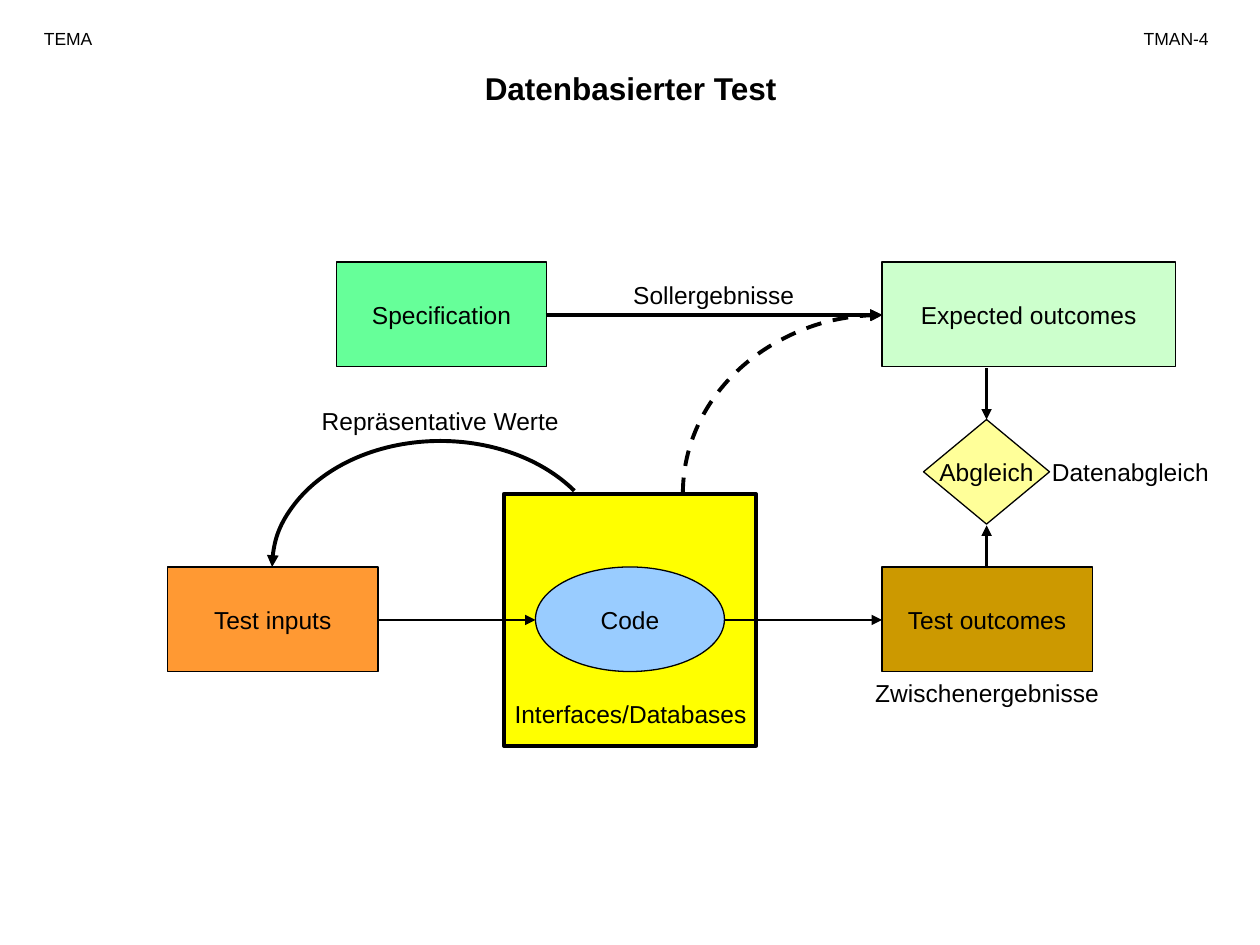
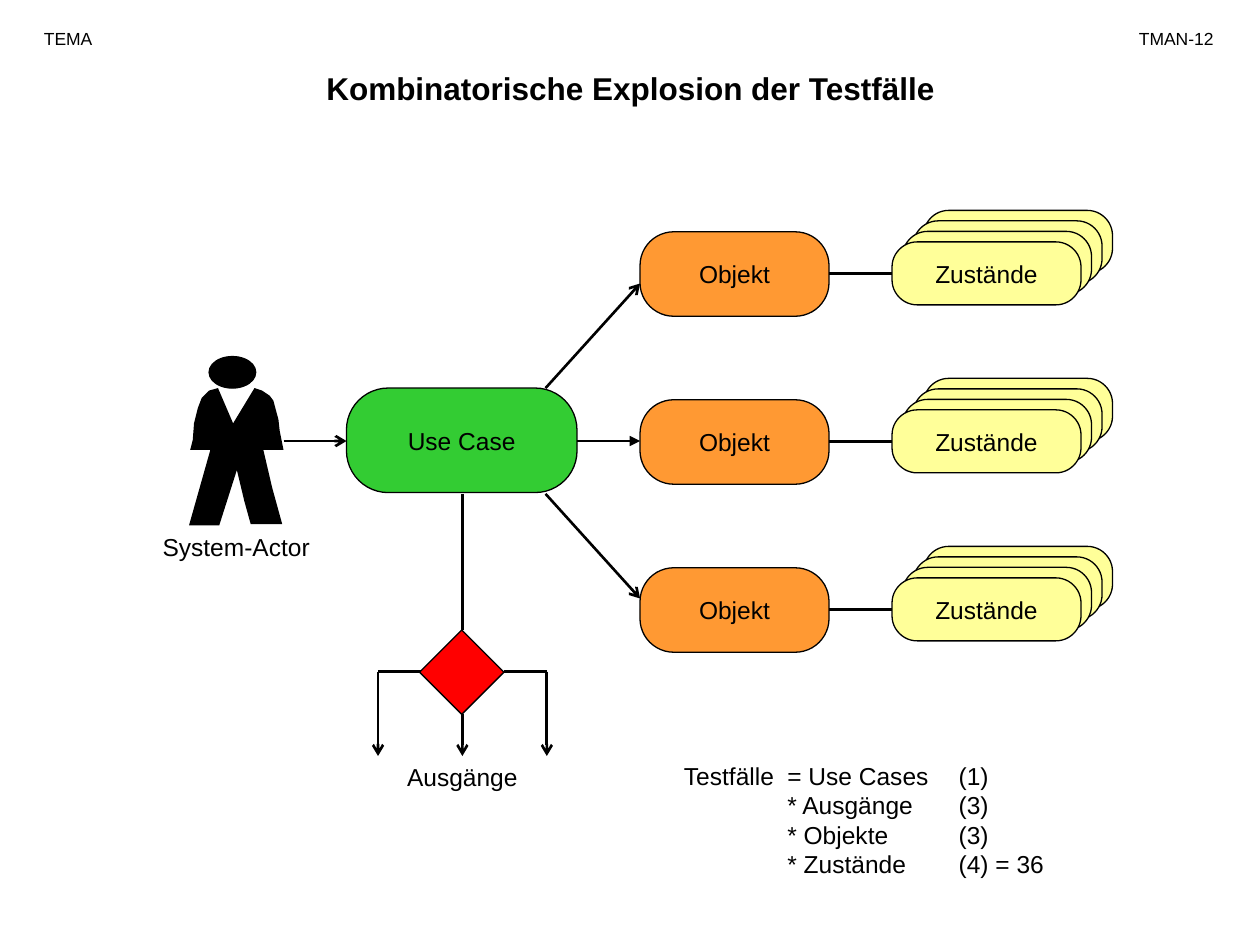
"""Build two slides on test data flow and the combinatorics of test cases."""
from pptx import Presentation
from pptx.dml.color import RGBColor
from pptx.enum.dml import MSO_LINE
from pptx.enum.shapes import MSO_CONNECTOR, MSO_SHAPE
from pptx.enum.text import MSO_ANCHOR, MSO_AUTO_SIZE, PP_ALIGN
from pptx.oxml.ns import qn
from pptx.util import Inches, Pt

RECT, ROUNDED = MSO_SHAPE.RECTANGLE, MSO_SHAPE.ROUNDED_RECTANGLE
ELLIPSE, DIAMOND, ARC = MSO_SHAPE.OVAL, MSO_SHAPE.DIAMOND, MSO_SHAPE.ARC
STRAIGHT, DASH = MSO_CONNECTOR.STRAIGHT, MSO_LINE.DASH
LEFT, CENTER = PP_ALIGN.LEFT, PP_ALIGN.CENTER
TOP, MIDDLE, NO_FIT = MSO_ANCHOR.TOP, MSO_ANCHOR.MIDDLE, MSO_AUTO_SIZE.NONE

COLORS = {
    "ink": "000000", "interface": "FFFF00", "code": "99CCFF",
    "input": "FF9933", "outcome": "CC9900", "specification": "66FF99",
    "expected": "CCFFCC", "pale": "FFFF99", "use_case": "33CC33",
    "decision": "FF0000",
}
FRAME = {
    "margin_left": Inches(0.1), "margin_right": Inches(0.1),
    "margin_top": Inches(0.05), "margin_bottom": Inches(0.05),
    "auto_size": NO_FIT,
}
BODY_FONT = {"name": "Arial", "size": Pt(14), "bold": False}
HEADER_FONT = {**BODY_FONT, "size": Pt(10)}
TITLE_FONT = {**BODY_FONT, "size": Pt(18), "bold": True}
HEADER_TOP, HEADER_HEIGHT = 0.17, 0.27
LABEL_HEIGHT = 0.34
ROUNDING = 0.4

ACTOR_BODY = [
    (2.25, 3.57), (2.22, 3.42), (2.21, 3.33), (2.17, 3.18), (2.14, 3.14),
    (2.08, 3.1), (2.02, 3.08), (1.85, 3.36), (1.73, 3.08), (1.66, 3.1),
    (1.6, 3.16), (1.57, 3.24), (1.54, 3.36), (1.53, 3.49), (1.51, 3.57),
    (1.67, 3.57), (1.5, 4.17), (1.74, 4.17), (1.88, 3.73), (1.94, 3.98),
    (1.99, 4.16), (2.24, 4.16), (2.16, 3.87), (2.09, 3.57),
]


def rgb(color):
    """Return a named colour."""
    return RGBColor.from_string(COLORS[color])


def apply(target, values):
    """Set every given format value on the target."""
    for attribute, value in values.items():
        setattr(target, attribute, value)


def place(shape, box):
    """Move and size a shape."""
    apply(shape, dict(zip(("left", "top", "width", "height"), map(Inches, box))))


def write(shape, text, font=BODY_FONT, align=CENTER, anchor=MIDDLE, wrap=False, tabs=()):
    """Fill a shape with formatted paragraphs."""
    frame = shape.text_frame
    apply(frame, {**FRAME, "vertical_anchor": anchor, "word_wrap": wrap})
    frame.text = text
    for paragraph in frame.paragraphs:
        if tabs:
            properties = paragraph._p.get_or_add_pPr()
            tab_list = properties.makeelement(qn("a:tabLst"), {})
            properties.append(tab_list)
            for position in tabs:
                stop = {"pos": str(Inches(position)), "algn": "l"}
                tab_list.append(tab_list.makeelement(qn("a:tab"), stop))
        apply(paragraph, {"alignment": align, "space_before": Pt(0)})
        apply(paragraph.font, font)
        paragraph.font.color.rgb = rgb("ink")


def add_label(slide, text, box, **options):
    """Add a free text label."""
    label = slide.shapes.add_textbox(*map(Inches, box))
    write(label, text, **{"anchor": TOP, "wrap": True, **options})


def set_line(shape, weight, head=None, tail=None):
    """Style an outline and its arrowheads."""
    shape.line.color.rgb = rgb("ink")
    shape.line.width = Pt(weight)
    outline = shape.line._get_or_add_ln()
    for end, arrow in (("a:headEnd", head), ("a:tailEnd", tail)):
        if arrow:
            outline.append(outline.makeelement(qn(end), {"type": arrow}))


def add_node(slide, kind, box, color, text="", weight=0.75):
    """Add a filled and outlined diagram node."""
    node = slide.shapes.add_shape(kind, *map(Inches, box))
    node.shadow.inherit = False
    node.fill.solid()
    node.fill.fore_color.rgb = rgb(color)
    set_line(node, weight)
    if kind == ROUNDED:
        node.adjustments[0] = ROUNDING
    if text:
        write(node, text)


def add_line(slide, start, end, weight=1.5, tail=None):
    """Add a straight line, with an arrowhead if named."""
    points = map(Inches, (*start, *end))
    line = slide.shapes.add_connector(STRAIGHT, *points)
    set_line(line, weight, tail=tail)
    properties = line._element.spPr
    properties.append(properties.makeelement(qn("a:effectLst"), {}))


def add_arc(slide, box, degrees, dash=None, **arrows):
    """Add an open elliptical arc between two angles."""
    arc = slide.shapes.add_shape(ARC, *map(Inches, box))
    arc.shadow.inherit = False
    arc.fill.background()
    for index, angle in enumerate(degrees):
        arc.adjustments[index] = angle * 0.6
    if dash:
        arc.line.dash_style = dash
    set_line(arc, 2.25, **arrows)


def add_actor(slide):
    """Draw the actor as a body outline with a round head."""
    builder = slide.shapes.build_freeform(
        *map(Inches, ACTOR_BODY[0]), scale=1.0)
    builder.add_line_segments(
        [(Inches(x), Inches(y)) for x, y in ACTOR_BODY[1:]], close=True)
    body = builder.convert_to_shape()
    body.shadow.inherit = False
    body.fill.solid()
    body.fill.fore_color.rgb = rgb("ink")
    body.line.fill.background()
    add_node(slide, ELLIPSE, (1.66, 2.83, 0.37, 0.25), "ink")


def add_titled_slide(deck, title, page):
    """Start a slide with its title and header texts."""
    slide = deck.slides.add_slide(deck.slide_layouts[5])
    place(slide.shapes.title, (0.92, 0.5, 8.17, 0.4))
    write(slide.shapes.title, title, TITLE_FONT, anchor=TOP, wrap=True)
    add_label(slide, "TEMA", (0.25, HEADER_TOP, 0.92, HEADER_HEIGHT),
              font=HEADER_FONT, align=LEFT)
    add_label(slide, page, (8.92, HEADER_TOP, 0.83, HEADER_HEIGHT), font=HEADER_FONT)
    return slide


def build_data_test(deck):
    """Build the data-based test flow."""
    slide = add_titled_slide(deck, "Datenbasierter Test", "TMAN-4")
    spec_row, code_row, match_x = 2.5, 4.92, 7.83
    height = 0.83
    add_node(slide, RECT, (4, 3.92, 2, 2), "interface", weight=2.25)
    for kind, left, top, width, color, text in (
        (ELLIPSE, 4.25, 4.5, 1.5, "code", "Code"),
        (RECT, 1.33, 4.5, 1.67, "input", "Test inputs"),
        (RECT, 7, 4.5, 1.67, "outcome", "Test outcomes"),
        (RECT, 2.67, 2.08, 1.67, "specification", "Specification"),
        (RECT, 7, 2.08, 2.33, "expected", "Expected outcomes"),
        (DIAMOND, 7.33, 3.33, 1, "pale", "Abgleich"),
    ):
        add_node(slide, kind, (left, top, width, height), color, text)
    for start, end, weight in (
        ((3, code_row), (4.25, code_row), 1.5),
        ((5.75, code_row), (7, code_row), 1.5),
        ((4.33, spec_row), (7, spec_row), 2.25),
        ((match_x, 4.5), (match_x, 4.17), 1.5),
        ((match_x, 2.92), (match_x, 3.33), 1.5),
    ):
        add_line(slide, start, end, weight, tail="triangle")
    add_arc(slide, (5.42, 2.5, 3.17, 2.83), (180, 270), dash=DASH, tail="triangle")
    add_arc(slide, (2.16, 3.5, 2.67, 2), (180, 330.4), head="triangle")
    for text, left, top, width, align in (
        ("Datenabgleich", 8.25, 3.58, 1.5, LEFT),
        ("Repräsentative Werte", 2.33, 3.17, 2.33, CENTER),
        ("Zwischenergebnisse", 6.75, 5.33, 2.17, CENTER),
        ("Sollergebnisse", 4.33, 2.17, 2.67, CENTER),
        ("Interfaces/Databases", 3.92, 5.5, 2.17, CENTER),
    ):
        add_label(slide, text, (left, top, width, LABEL_HEIGHT), align=align)


def add_object_row(slide, middle):
    """Add an object and its stack of four states."""
    add_node(slide, ROUNDED, (5.08, middle - 0.33, 1.5, 0.67), "input", "Objekt")
    add_line(slide, (6.58, middle), (7.08, middle))
    for depth in (3, 2, 1, 0):
        shift = depth / 12
        add_node(slide, ROUNDED, (7.08 + shift, middle - 0.25 - shift, 1.5, 0.5),
                 "pale", "" if depth else "Zustände")


def add_exits(slide):
    """Add the decision with its three exits."""
    middle, row, bottom = 3.67, 5.33, 6
    add_node(slide, DIAMOND, (3.33, 5, 0.67, 0.67), "decision")
    add_line(slide, (middle, 3.92), (middle, 5))
    add_line(slide, (middle, 5.67), (middle, bottom), tail="arrow")
    for side in (-1, 1):
        outer = middle + side * 0.67
        add_line(slide, (middle + side * 0.33, row), (outer, row))
        add_line(slide, (outer, row), (outer, bottom), tail="arrow")
    add_label(slide, "Ausgänge", (2.92, bottom, 1.5, LABEL_HEIGHT))


def build_explosion(deck):
    """Build the combinatorial explosion of test cases."""
    slide = add_titled_slide(deck, "Kombinatorische Explosion der Testfälle", "TMAN-12")
    for row in range(3):
        add_object_row(slide, 2.17 + row * 4 / 3)
    add_node(slide, ROUNDED, (2.75, 3.08, 1.83, 0.83), "use_case", "Use Case")
    for start, end, tail in (
        ((2.25, 3.5), (2.75, 3.5), "arrow"),
        ((4.58, 3.5), (5.08, 3.5), "triangle"),
        ((4.33, 3.08), (5.08, 2.25), "arrow"),
        ((4.33, 3.92), (5.08, 4.75), "arrow"),
    ):
        add_line(slide, start, end, tail=tail)
    add_actor(slide)
    add_label(slide, "System-Actor", (1, 4.17, 1.75, LABEL_HEIGHT))
    add_exits(slide)
    add_label(
        slide,
        "Testfälle\t= Use Cases\t(1)\n\t* Ausgänge\t(3)\n"
        "\t* Objekte\t(3)\n\t* Zustände\t(4) = 36",
        (5.33, 5.99, 4.08, 1.04), align=LEFT, tabs=(0.82, 2.18))


def main():
    """Build and save the deck."""
    deck = Presentation()
    apply(deck, {"slide_width": Inches(10), "slide_height": Inches(7.5)})
    build_data_test(deck)
    build_explosion(deck)
    deck.save("out.pptx")


if __name__ == "__main__":
    main()
